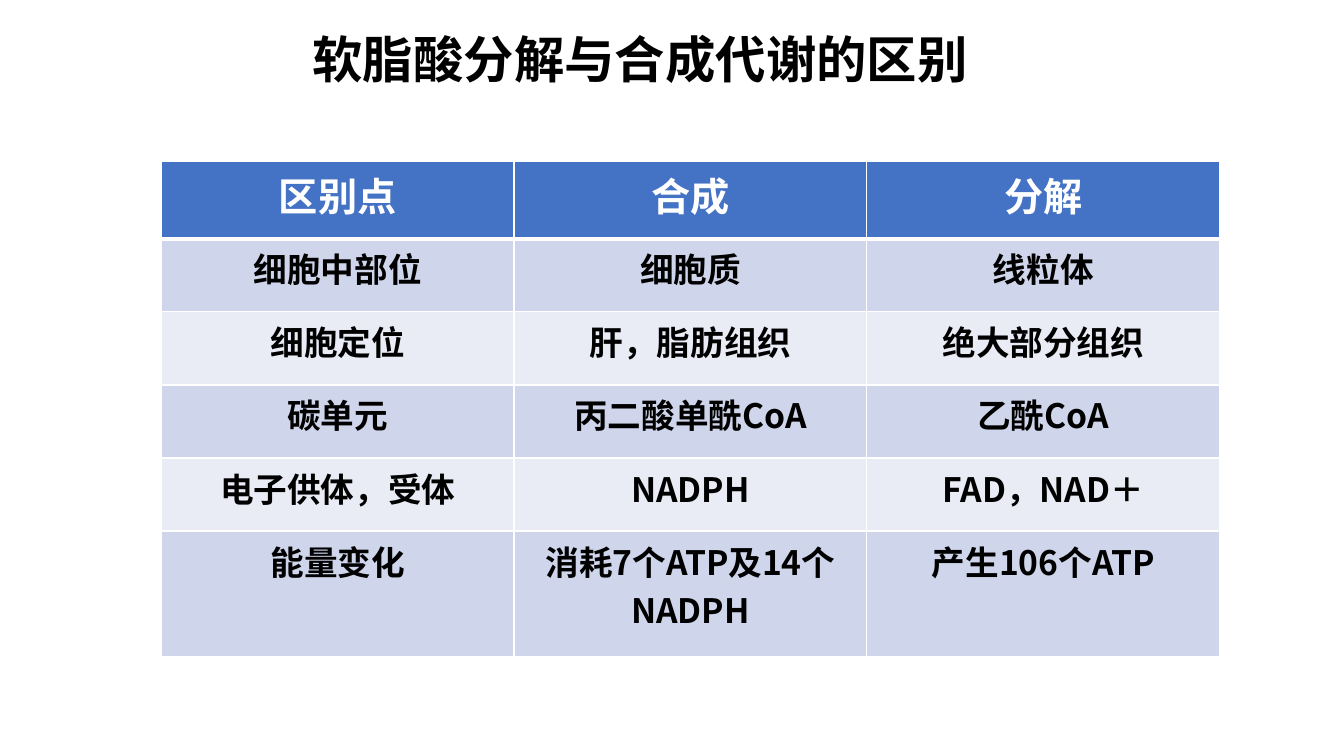
"""Build a slide comparing palmitic acid synthesis and breakdown."""
from lxml import etree
from pptx import Presentation
from pptx import util as u
from pptx.dml.color import RGBColor
from pptx.enum import text
from pptx.oxml import ns

BLACK = RGBColor(0x00, 0x00, 0x00)
WHITE = RGBColor(0xFF, 0xFF, 0xFF)
HEADER_BLUE = RGBColor(0x44, 0x72, 0xC4)
BAND_DARK = RGBColor(0xCF, 0xD5, 0xEA)
BAND_LIGHT = RGBColor(0xE9, 0xEB, 0xF5)

DIFFERENCES = [
    ("区别点", "合成", "分解"),
    ("细胞中部位", "细胞质", "线粒体"),
    ("细胞定位", "肝，脂肪组织", "绝大部分组织"),
    ("碳单元", "丙二酸单酰CoA", "乙酰CoA"),
    ("电子供体，受体", "NADPH", "FAD，NAD＋"),
    ("能量变化", "消耗7个ATP及14个NADPH", "产生106个ATP"),
]
ROW_HEIGHTS = [55.4] + [52.2] * 4 + [90]


class ComparisonSlide:
    """Hold the font and the slide, and add styled elements to it."""

    font = "Noto Sans CJK SC"

    def __init__(self, deck):
        """Add a title-only slide to the deck."""
        self.slide = deck.slides.add_slide(deck.slide_layouts[5])

    def add_words(self, paragraph, words, size, color):
        """Add one bold run in the slide font."""
        run = paragraph.add_run()
        run.text = words
        run.font.size = u.Pt(size)
        run.font.bold = True
        run.font.color.rgb = color
        run.font.name = self.font
        etree.SubElement(run.font._element, ns.qn("a:ea"), typeface=self.font)

    def title(self, words, left, top, width, height):
        """Place and fill the title placeholder."""
        heading = self.slide.shapes.title
        heading.left, heading.top = u.Pt(left), u.Pt(top)
        heading.width, heading.height = u.Pt(width), u.Pt(height)
        frame = heading.text_frame
        frame.word_wrap = True
        frame.auto_size = text.MSO_AUTO_SIZE.SHAPE_TO_FIT_TEXT
        frame.vertical_anchor = text.MSO_ANCHOR.MIDDLE
        paragraph = frame.paragraphs[0]
        paragraph.alignment = text.PP_ALIGN.LEFT
        paragraph.line_spacing = 0.9
        self.add_words(paragraph, words, 36, BLACK)

    def border(self, cell, side, width):
        """Draw one white cell border."""
        line = etree.SubElement(cell._tc.get_or_add_tcPr(), ns.qn(f"a:{side}"), w=str(u.Pt(width)))
        fill = etree.SubElement(line, ns.qn("a:solidFill"))
        etree.SubElement(fill, ns.qn("a:srgbClr"), val=str(WHITE))

    def table(self, rows, heights, left, top, width):
        """Add a banded table with a header row."""
        grid = self.slide.shapes.add_table(
            len(rows), len(rows[0]), u.Pt(left), u.Pt(top), u.Pt(width), u.Pt(sum(heights))
        ).table
        for r, (entries, height) in enumerate(zip(rows, heights)):
            grid.rows[r].height = u.Pt(height)
            band = BAND_DARK if r % 2 else BAND_LIGHT
            size, color, fill = (24, BLACK, band) if r else (28, WHITE, HEADER_BLUE)
            for c, words in enumerate(entries):
                cell = grid.cell(r, c)
                for side in ("lnL", "lnR", "lnT", "lnB"):
                    header_edge = (r, side) in ((0, "lnB"), (1, "lnT"))
                    self.border(cell, side, 3 if header_edge else 1)
                cell.fill.solid()
                cell.fill.fore_color.rgb = fill
                paragraph = cell.text_frame.paragraphs[0]
                paragraph.alignment = text.PP_ALIGN.CENTER
                self.add_words(paragraph, words, size, color)


def main():
    """Build and save the deck."""
    deck = Presentation()
    deck.slide_width, deck.slide_height = u.Pt(960), u.Pt(540)
    comparison = ComparisonSlide(deck)
    comparison.title("软脂酸分解与合成代谢的区别", 216, 18.7, 553, 51.1)
    comparison.table(DIFFERENCES, ROW_HEIGHTS, 115.2, 115.2, 756)
    deck.save("out.pptx")


if __name__ == "__main__":
    main()
